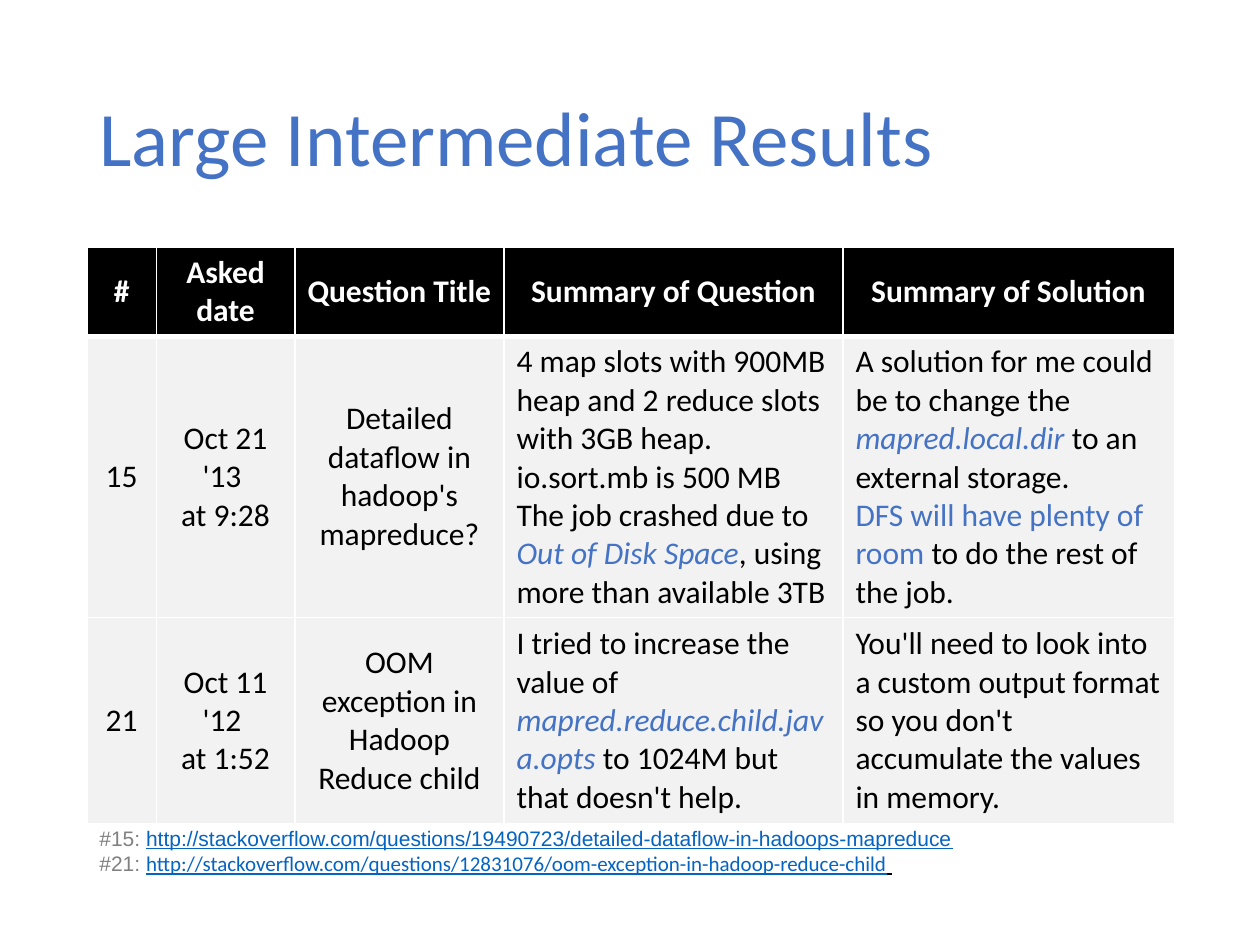
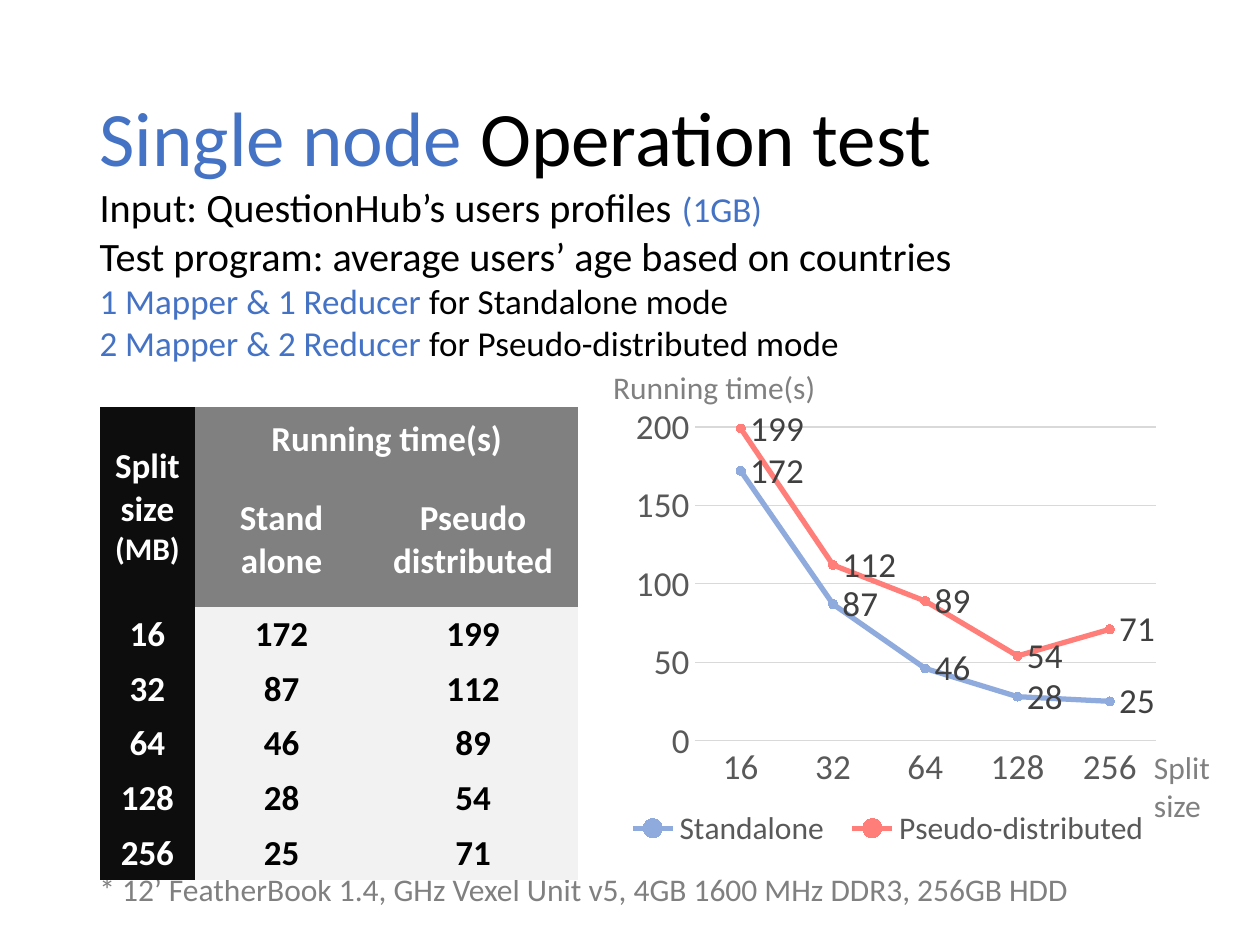
from lxml.etree import SubElement
from pptx import Presentation
from pptx.chart.data import CategoryChartData
from pptx.dml.color import RGBColor
from pptx.enum.chart import (XL_CHART_TYPE, XL_LABEL_POSITION, XL_LEGEND_POSITION,
                             XL_MARKER_STYLE, XL_TICK_MARK)
from pptx.enum.text import MSO_ANCHOR, MSO_AUTO_SIZE, PP_ALIGN
from pptx.oxml import parse_xml
from pptx.oxml.ns import nsdecls, qn
from pptx.util import Inches, Pt

COLORS = {
    "black": "000000", "white": "FFFFFF", "accent": "4472C4", "gray": "808080",
    "dark": "0D0D0D", "light": "F2F2F2", "link": "0563C1", "grid": "D9D9D9",
    "axis": "595959", "label": "404040", "blue_line": "8FAADC",
    "red_line": "FF7E79", "red_marker": "FF2600",
}
RGB = {name: RGBColor.from_string(value) for name, value in COLORS.items()}
FONT = "Calibri"
NO_STYLE = "{2D5ABB26-0587-4C30-8999-92F81FD0307C}"
LEFT = Inches(0.69)
ACCENT = {"color": "accent"}
ACCENT_ITALIC = {"color": "accent", "italic": True}
LINK = {"color": "link", "underline": True}


def write(frame, paragraphs, align=PP_ALIGN.LEFT, **base):
    """Fill a frame; each paragraph is a list of (text, style changes) runs."""
    for index, runs in enumerate(paragraphs):
        paragraph = frame.paragraphs[0] if index == 0 else frame.add_paragraph()
        paragraph.alignment = align
        for text, changes in runs:
            style = {"size": 18, "font": FONT, "color": "black", **base, **changes}
            for line_number, line in enumerate(text.split("\n")):
                if line_number:
                    paragraph.add_line_break()
                if not line:
                    continue
                run = paragraph.add_run()
                run.text = line
                run.font.name = style["font"]
                run.font.size = Pt(style["size"])
                run.font.bold = style.get("bold", False)
                run.font.italic = style.get("italic", False)
                run.font.underline = style.get("underline", False)
                run.font.color.rgb = RGB[style["color"]]


def add_plain_table(slide, left, top, widths, heights):
    """Add a table without a built-in style."""
    shape = slide.shapes.add_table(len(heights), len(widths), left, top,
                                   Inches(sum(widths)), Inches(sum(heights)))
    table = shape.table
    table.first_row = table.horz_banding = False
    table._tbl.tblPr.find(qn("a:tableStyleId")).text = NO_STYLE
    for column, width in zip(table.columns, widths):
        column.width = Inches(width)
    for row, height in zip(table.rows, heights):
        row.height = Inches(height)
    return table


presentation = Presentation()
presentation.slide_width = Inches(10)
presentation.slide_height = Inches(7.5)

# Slides and titles
titles = [
    (5, [("Large Intermediate Results", ACCENT)]),
    (1, [("Single node ", ACCENT), ("Operation test", {})]),
]
for layout, runs in titles:
    slide = presentation.slides.add_slide(presentation.slide_layouts[layout])
    title = slide.shapes.title
    title.left, title.top = LEFT, Inches(0.4)
    title.width, title.height = Inches(8.62), Inches(1.45)
    title.text_frame.word_wrap = True
    title.text_frame.auto_size = MSO_AUTO_SIZE.NONE
    title.text_frame.vertical_anchor = MSO_ANCHOR.MIDDLE
    write(title.text_frame, [runs], size=44)
    title.text_frame.paragraphs[0].line_spacing = 0.9
results_slide, test_slide = presentation.slides

# Text boxes: slide, left, top, width, height, wrap, alignment, paragraphs
text_boxes = [
    (results_slide, 0.69, 6.5, 7.85, 0.5, True, PP_ALIGN.LEFT, [
        [("#15: ", {"font": "Arial", "size": 12}),
         ("http://stackoverflow.com/questions/19490723/detailed-dataflow-in-hadoops-mapreduce",
          {**LINK, "font": "Arial", "size": 12})],
        [("#21: ", {"font": "Arial", "size": 12}),
         ("http://stackoverflow.com/questions/12831076/oom-exception-in-hadoop-reduce-child",
          {**LINK, "size": 12}),
         (" ", {"color": "black", "underline": True, "size": 12})],
    ]),
    (test_slide, 0.69, 6.86, 8.62, 0.4, True, PP_ALIGN.LEFT,
     [[("* 12’ FeatherBook 1.4, GHz Vexel Unit v5, 4GB 1600 MHz DDR3, 256GB HDD", {})]]),
    (test_slide, 9.06, 5.89, 0.71, 0.71, False, PP_ALIGN.LEFT,
     [[("Split", {})], [("size", {})]]),
    (test_slide, 4.74, 2.87, 1.83, 0.4, False, PP_ALIGN.RIGHT,
     [[("Running time(s)", {})]]),
]
for slide, left, top, width, height, wrap, align, paragraphs in text_boxes:
    box = slide.shapes.add_textbox(Inches(left), Inches(top), Inches(width), Inches(height))
    box.text_frame.word_wrap = wrap
    write(box.text_frame, paragraphs, align, color="gray")

# Question table
headers = ["#", "Asked date", "Question Title", "Summary of Question", "Summary of Solution"]
question_rows = [
    [[[(header, {})]] for header in headers],
    [
        [[("15", {})]],
        [[("Oct 21 '13 \nat 9:28", {})]],
        [[("Detailed dataflow in hadoop's mapreduce?", {})]],
        [[("4 map slots with 900MB heap and 2 reduce slots with 3GB heap. "
           "io.sort.mb is 500 MB", {})],
         [("The job crashed due to ", {}), ("Out of Disk Space", ACCENT_ITALIC),
          (", using more than available 3TB", {})]],
        [[("A solution for me could be to change the ", {}),
          ("mapred.local.dir", ACCENT_ITALIC), (" to an external storage.\n", {}),
          ("DFS will have plenty of room ", ACCENT), ("to do the rest of the job.", {})]],
    ],
    [
        [[("21", {})]],
        [[("Oct 11 '12 \nat 1:52", {})]],
        [[("OOM exception in Hadoop Reduce child", {})]],
        [[("I tried to increase the value of ", {}),
          ("mapred.reduce.child.java.opts", ACCENT_ITALIC),
          (" to 1024M but that doesn't help.", {})]],
        [[("You'll need to look into a custom output format so you don't "
           "accumulate the values in memory.", {})]],
    ],
]
question_table = add_plain_table(results_slide, LEFT, Inches(1.96),
                                 [0.55, 1.1, 1.66, 2.69, 2.63], [0.71, 2.23, 1.64])
for row, contents in enumerate(question_rows):
    is_header = row == 0
    for column, paragraphs in enumerate(contents):
        cell = question_table.cell(row, column)
        centered = is_header or column < 3
        write(cell.text_frame, paragraphs, PP_ALIGN.CENTER if centered else PP_ALIGN.LEFT,
              bold=is_header, color="white" if is_header else "black")
        cell.vertical_anchor = MSO_ANCHOR.MIDDLE
        properties = cell._tc.get_or_add_tcPr()
        for side in "LRTB":
            thick = (is_header and side == "B") or (row == 1 and side == "T")
            border = SubElement(properties, qn(f"a:ln{side}"), w=str(Pt(3 if thick else 1)))
            fill = SubElement(border, qn("a:solidFill"))
            SubElement(fill, qn("a:srgbClr"), val=COLORS["white"])
        cell.fill.solid()
        cell.fill.fore_color.rgb = RGB["black" if is_header else "light"]

# Test setup list
setup = test_slide.placeholders[1]
setup.left, setup.top, setup.width, setup.height = LEFT, Inches(1.4), Inches(9.96), Inches(1.55)
setup.text_frame.word_wrap = True
setup.text_frame.auto_size = MSO_AUTO_SIZE.NONE
write(setup.text_frame, [
    [("Input: QuestionHub’s users profiles ", {"size": 23}), ("(1GB)", ACCENT)],
    [("Test program: average users’ age based on countries", {"size": 23})],
    [("1 Mapper & 1 Reducer ", ACCENT), ("for Standalone mode", {})],
    [("2 Mapper & 2 Reducer ", ACCENT), ("for Pseudo-distributed mode", {})],
], size=20)
for paragraph in setup.text_frame.paragraphs:
    properties = paragraph._p.get_or_add_pPr()
    properties.set("marL", "0")
    properties.set("indent", "0")
    SubElement(properties, qn("a:buNone"))
    paragraph.space_before = Pt(0)

# Running time table
split_sizes = ["16", "32", "64", "128", "256"]
standalone = [172, 87, 46, 28, 25]
pseudo_distributed = [199, 112, 89, 54, 71]
time_rows = [["", "Running time(s)", ""], ["", "Stand\nalone", "Pseudo\ndistributed"]]
time_rows += [list(map(str, values))
              for values in zip(split_sizes, standalone, pseudo_distributed)]
time_table = add_plain_table(test_slide, Inches(0.79), Inches(3.23),
                             [0.76, 1.37, 1.67], [0.52, 1.06] + [0.43] * 5)
time_table.cell(0, 0).merge(time_table.cell(1, 0))
time_table.cell(0, 1).merge(time_table.cell(0, 2))
for row, texts in enumerate(time_rows):
    for column, text in enumerate(texts):
        cell = time_table.cell(row, column)
        is_value = row > 1 and column > 0
        runs = [(text, {})]
        if row == column == 0:
            runs = [("Split size\n", {}), ("(MB)", {"size": 18})]
        write(cell.text_frame, [runs], PP_ALIGN.CENTER, size=20, bold=True,
              color="black" if is_value else "white")
        cell.vertical_anchor = MSO_ANCHOR.MIDDLE
        cell.fill.solid()
        cell.fill.fore_color.rgb = RGB["dark" if column == 0 else "light" if is_value else "gray"]

# Running time chart
chart_data = CategoryChartData()
chart_data.categories = split_sizes
chart_data.add_series("Standalone", standalone)
chart_data.add_series("Pseudo-distributed", pseudo_distributed)
chart = test_slide.shapes.add_chart(XL_CHART_TYPE.LINE_MARKERS, Inches(4.79), Inches(3.17),
                                    Inches(4.52), Inches(3.66), chart_data).chart
chart.has_title = False
chart.has_legend = True
chart.legend.position = XL_LEGEND_POSITION.BOTTOM
chart.legend.include_in_layout = False
chart.plots[0].vary_by_categories = False
category_axis, value_axis = chart.category_axis, chart.value_axis
value_axis.minimum_scale, value_axis.maximum_scale = 0, 200
value_axis.major_unit = 50
value_axis.has_major_gridlines = True
value_axis.format.line.fill.background()
for line in (category_axis.format.line, value_axis.major_gridlines.format.line):
    line.color.rgb = RGB["grid"]
    line.width = Pt(0.75)
for axis in (category_axis, value_axis):
    axis.major_tick_mark = axis.minor_tick_mark = XL_TICK_MARK.NONE

series_colors = [("blue_line", "accent"), ("red_line", "red_marker")]
chart_fonts = [(chart.font, 20, "black"), (chart.legend.font, 18, "axis"),
               (category_axis.tick_labels.font, 20, "axis"),
               (value_axis.tick_labels.font, 20, "axis")]
for series, (line_color, marker_color) in zip(chart.plots[0].series, series_colors):
    series.smooth = False
    series.format.line.color.rgb = RGB[line_color]
    series.format.line.width = Pt(3)
    series.marker.style = XL_MARKER_STYLE.CIRCLE
    series.marker.size = 5
    series.marker.format.fill.solid()
    series.marker.format.fill.fore_color.rgb = RGB[marker_color]
    series.marker.format.line.color.rgb = RGB[marker_color]
    labels = series.data_labels
    labels.show_value = True
    labels.position = XL_LABEL_POSITION.RIGHT
    chart_fonts.append((labels.font, 20, "label"))
for font, size, color in chart_fonts:
    font.name = FONT
    font.size = Pt(size)
    font.color.rgb = RGB[color]

# Fixed places of the plot area and the one-row legend inside the chart
chart_element = chart._chartSpace.chart
chart_layouts = [
    (chart_element.plotArea, 0, [("layoutTarget", "inner")], (0.16, 0.06, 0.81, 0.68)),
    (chart_element.find(qn("c:legend")), 1, [], (0.02, 0.87, 0.96, 0.12)),
]
for parent, position, target, place in chart_layouts:
    for old_layout in parent.findall(qn("c:layout")):
        parent.remove(old_layout)
    layout = parse_xml(f"<c:layout {nsdecls('c')}/>")
    parent.insert(position, layout)
    manual = SubElement(layout, qn("c:manualLayout"))
    settings = target + [("xMode", "edge"), ("yMode", "edge"), *zip("xywh", place)]
    for tag, value in settings:
        SubElement(manual, qn(f"c:{tag}"), val=str(value))

presentation.save("out.pptx")
